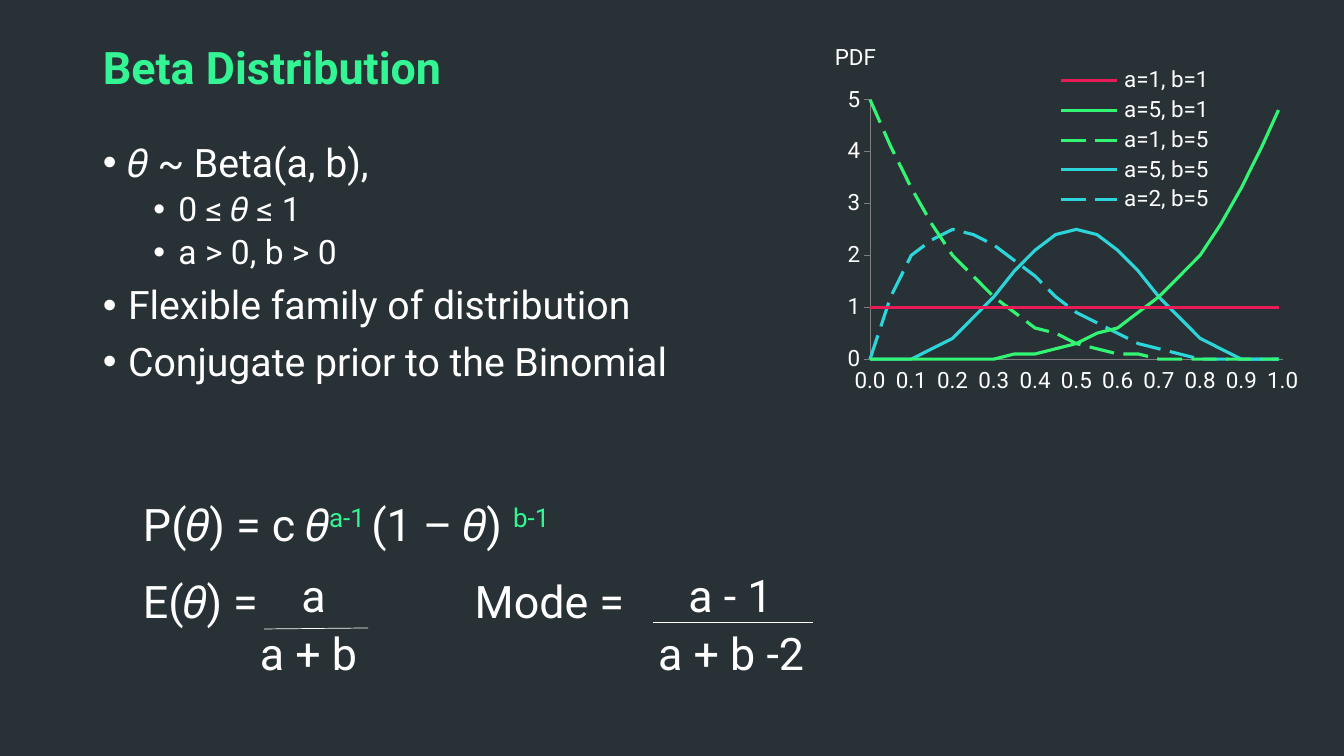
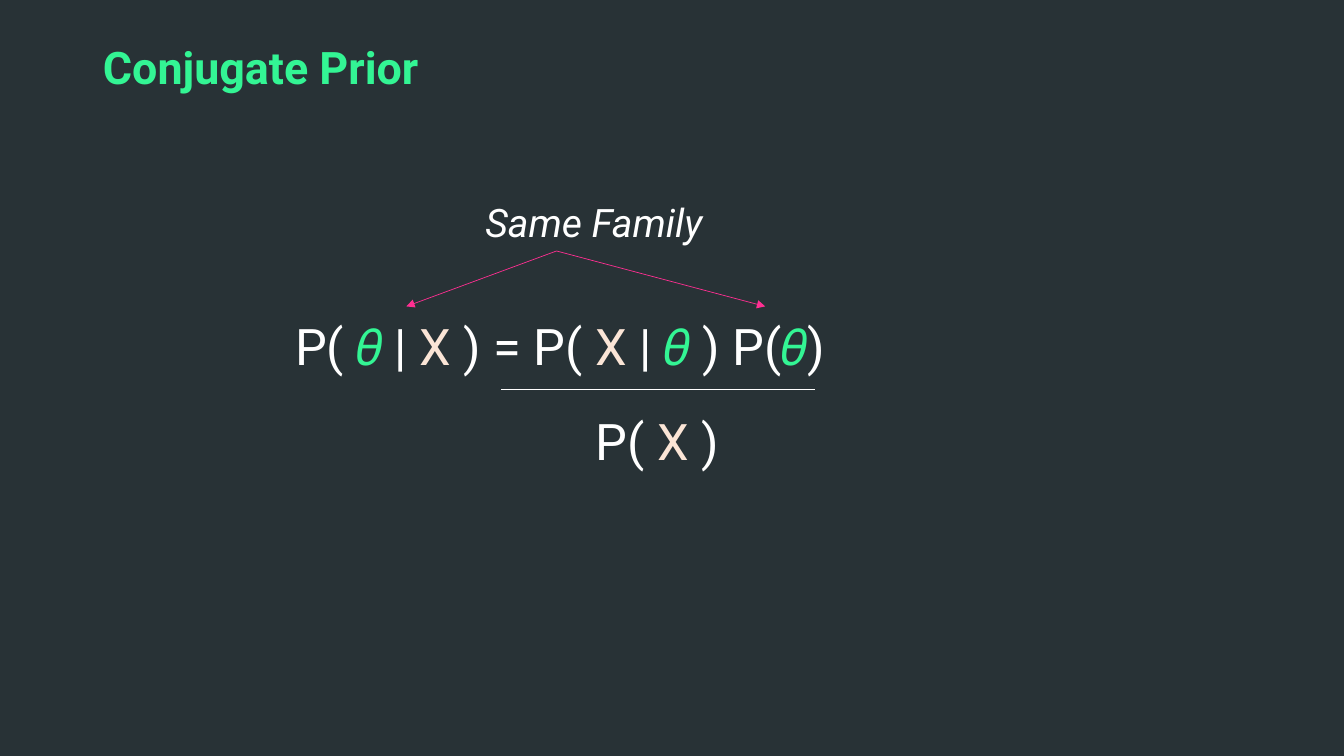
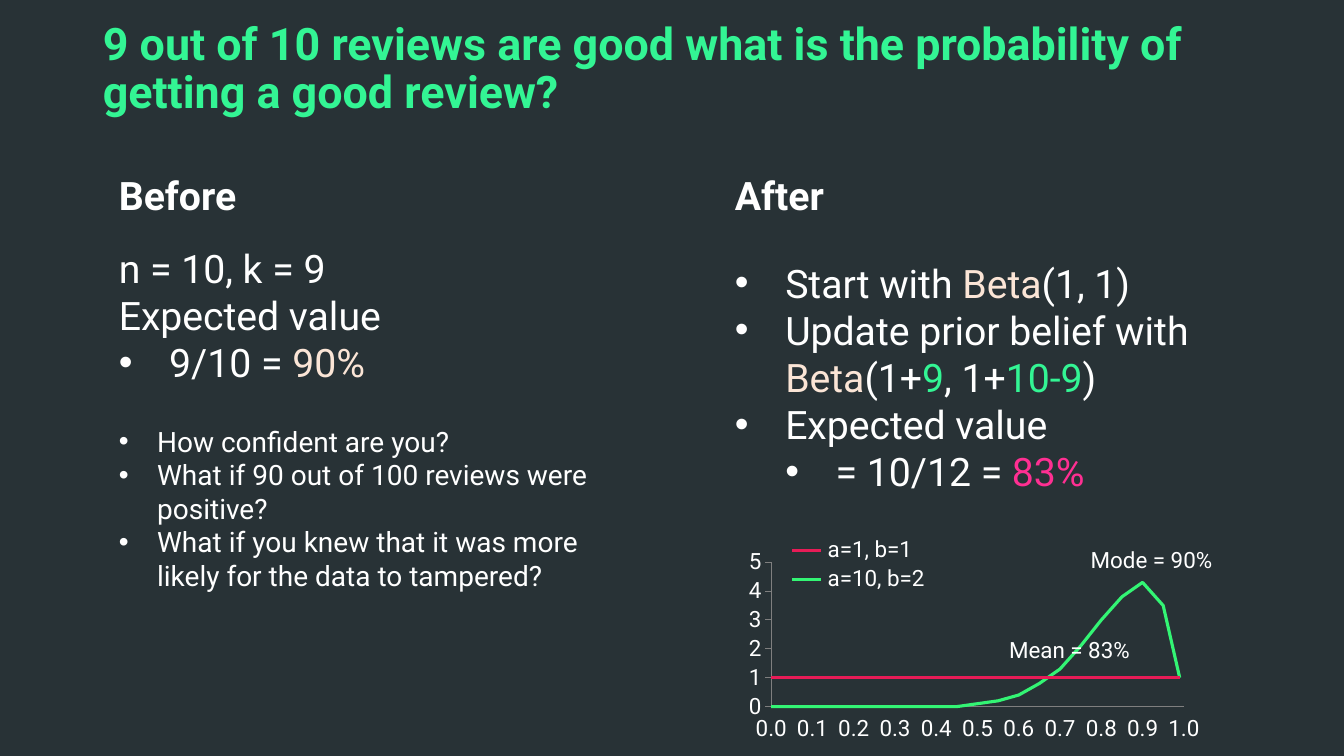
from dataclasses import dataclass

from lxml import etree
from pptx import Presentation
from pptx.chart.data import XyChartData
from pptx.dml.color import RGBColor
from pptx.enum.chart import XL_CHART_TYPE, XL_TICK_LABEL_POSITION, XL_TICK_MARK
from pptx.enum.dml import MSO_LINE
from pptx.enum.shapes import MSO_CONNECTOR
from pptx.enum.text import MSO_ANCHOR, MSO_AUTO_SIZE, PP_ALIGN
from pptx.oxml.ns import qn
from pptx.util import Inches, Pt

SCATTER = XL_CHART_TYPE.XY_SCATTER_LINES_NO_MARKERS
NO_LABELS = XL_TICK_LABEL_POSITION.NONE
NO_TICKS, TICKS_OUT = XL_TICK_MARK.NONE, XL_TICK_MARK.OUTSIDE
LONG_DASH = MSO_LINE.LONG_DASH
STRAIGHT = MSO_CONNECTOR.STRAIGHT
TOP, MIDDLE, BOTTOM = MSO_ANCHOR.TOP, MSO_ANCHOR.MIDDLE, MSO_ANCHOR.BOTTOM
LEFT, CENTER = PP_ALIGN.LEFT, PP_ALIGN.CENTER
TITLE_AND_BODY, TITLE_ONLY = 1, 5


@dataclass(frozen=True)
class Theme:
    font: str = "Roboto"
    symbol_font: str = "Calibri"
    background: str = "283236"
    white: str = "FFFFFF"
    green: str = "33F594"
    cream: str = "FBE5D6"
    pink: str = "FF2F92"
    axis: str = "7F7F7F"
    red_curve: str = "E71C57"
    green_curve: str = "33F574"
    blue_curve: str = "2BD5D9"
    huge: int = 36
    large: int = 32
    body: int = 28
    sub: int = 24
    small: int = 20
    label: int = 16
    curve: float = 2.25
    axis_line: float = 0.75
    hairline: float = 0.5


THEME = Theme()


# Content. A run is a string or (text, style); a paragraph is a list of runs.
def green(text):
    return text, {"color": THEME.green}


def cream(text):
    return text, {"color": THEME.cream}


def power(text):
    return text, {"color": THEME.green, "baseline": 30000}


THETA = ("𝜃", {"font": THEME.symbol_font})

BETA_TITLE = "Beta Distribution"
BETA_POINTS = [  # level, text
    (0, "𝜃 ~ Beta(a, b),"),
    (1, "0 ≤ 𝜃 ≤ 1"),
    (1, "a > 0, b > 0"),
    (0, "Flexible family of distribution"),
    (0, "Conjugate prior to the Binomial"),
]
BETA_FORMULAS = [  # left, top, width, height, runs
    (1.32, 4.69, 7.3, 1, ["P(", THETA, ") = c ", THETA, power("a-1 "), "(1 – ",
                          THETA, ") ", power("b-1")]),
    (1.32, 5.46, 2.26, 1, ["E(", THETA, ") ="]),
    (2.48, 6.17, 1.31, 0.61, ["a + b"]),
    (2.89, 5.59, 1.31, 0.61, ["a"]),
    (4.61, 5.46, 2.26, 1, ["Mode ="]),
    (6.43, 6.17, 1.85, 0.61, ["a + b -2"]),
    (6.73, 5.59, 1.31, 0.61, ["a - 1"]),
]
BETA_FRACTION_BARS = [((2.62, 6.24), (3.65, 6.23)), ((6.48, 6.17), (8.06, 6.17))]
BETA_CURVES = [  # a, b, colour, dash
    (1, 1, THEME.red_curve, None),
    (5, 1, THEME.green_curve, None),
    (1, 5, THEME.green_curve, LONG_DASH),
    (5, 5, THEME.blue_curve, None),
    (2, 5, THEME.blue_curve, LONG_DASH),
]

PRIOR_TITLE = "Conjugate Prior"
BAYES_RULE = ["P( ", green("𝜃"), " | ", cream("X "), ") = P( ", cream("X"), " | ",
              green("𝜃 "), ") P(", green("𝜃"), ")"]
EVIDENCE = ["P( ", cream("X"), " )"]
FAMILY_NOTE = [("Same Family", {"italic": True})]
FAMILY_ORIGIN = (5.52, 2.49)
FAMILY_TARGETS = [(4.03, 3.04), (7.59, 3.04)]

REVIEW_TITLE = ("9 out of 10 reviews are good what is the probability of "
                "getting a good review?")
REVIEW_HEADINGS = [(1.08, "Before"), (7.19, "After")]
BEFORE_ESTIMATE = [["n = 10, k = 9"], ["Expected value"]]
BEFORE_RESULT = ["9/10 = ", cream("90%")]
BEFORE_QUESTIONS = [
    ["How confident are you?"],
    ["What if 90 out of 100 reviews were positive?"],
    ["What if you knew that it was more likely for the data to tampered?"],
]
AFTER_STEPS = [
    ["Start with ", cream("Beta"), "(1, 1)"],
    ["Update prior belief with ", cream("Beta"), "(1+", green("9"), ", 1+",
     green("10-9"), ")"],
    ["Expected value"],
]
AFTER_RESULT = ["= 10/12 = ", ("83%", {"color": THEME.pink})]
REVIEW_CURVES = [
    (1, 1, THEME.red_curve, None),
    (10, 2, THEME.green_curve, None),
]
REVIEW_NOTES = [(10.72, 5.25, "Mode = 90%"), (9.91, 6.14, "Mean = 83%")]

CURVE_X = [round(step * 0.05, 2) for step in range(20)] + [0.99]
PLOT_X, PLOT_W = 0.097, 0.884
LABEL_W, LABEL_H = 0.31, 0.24


def rgb(value):
    return RGBColor.from_string(value)


def inches(*lengths):
    return [Inches(length) for length in lengths]


def style_font(font, size, color=THEME.white, family=THEME.font):
    font.size, font.name = Pt(size), family
    font.color.rgb = rgb(color)


def add_runs(paragraph, runs, size, bold=None):
    for item in runs:
        text, style = item if isinstance(item, tuple) else (item, {})
        run = paragraph.add_run()
        run.text = text
        style_font(run.font, size, style.get("color", THEME.white),
                   style.get("font", THEME.font))
        run.font.bold, run.font.italic = bold, style.get("italic")
        if "baseline" in style:
            run.font._element.set("baseline", str(style["baseline"]))


def add_bullet(paragraph, margin, hanging):
    properties = paragraph._p.get_or_add_pPr()
    properties.set("marL", str(Inches(margin)))
    properties.set("indent", str(-Inches(hanging)))
    etree.SubElement(properties, qn("a:buFont")).set("typeface", "Arial")
    etree.SubElement(properties, qn("a:buChar")).set("char", "•")


def add_text(slide, box, paragraphs, size, anchor=MIDDLE, align=LEFT, bold=None,
             bullets=()):
    """Add a wrapping text box; bullets maps a paragraph index to (margin, hanging)."""
    frame = slide.shapes.add_textbox(*inches(*box)).text_frame
    frame.word_wrap, frame.vertical_anchor = True, anchor
    for index, runs in enumerate(paragraphs):
        paragraph = frame.add_paragraph() if index else frame.paragraphs[0]
        paragraph.alignment = align
        add_runs(paragraph, runs, size, bold)
        if index in bullets:
            margin, hanging = bullets[index]
            paragraph.level = 1 if margin > hanging else 0
            add_bullet(paragraph, margin, hanging)
    return frame


def add_label(slide, box, text, anchor=MIDDLE, align=LEFT):
    frame = add_text(slide, box, [[text]], THEME.label, anchor, align)
    frame.word_wrap = False
    frame.margin_left = frame.margin_right = frame.margin_top = frame.margin_bottom = 0
    frame.paragraphs[0].line_spacing = 0.9


def add_line(slide, start, end, color=THEME.white, width=THEME.hairline, dash=None,
             arrow=False):
    connector = slide.shapes.add_connector(STRAIGHT, *inches(*start, *end))
    connector.line.color.rgb, connector.line.width = rgb(color), Pt(width)
    if dash:
        connector.line.dash_style = dash
    if arrow:
        outline = connector.line._get_or_add_ln()
        etree.SubElement(outline, qn("a:tailEnd")).set("type", "triangle")
    etree.SubElement(connector._element.spPr, qn("a:effectLst"))


def add_slide(prs, layout, title_text):
    slide = prs.slides.add_slide(prs.slide_layouts[layout])
    title = slide.shapes.title
    title.left, title.top, title.width, title.height = inches(0.92, 0.4, 11.5, 0.59)
    frame = title.text_frame
    frame.auto_size, frame.vertical_anchor = MSO_AUTO_SIZE.NONE, MIDDLE
    frame.text = title_text
    paragraph = frame.paragraphs[0]
    paragraph.alignment, paragraph.line_spacing = LEFT, 0.9
    style_font(paragraph.runs[0].font, THEME.large, THEME.green)
    paragraph.runs[0].font.bold = True
    return slide


def fill_body(body, points):
    body.left, body.top, body.width, body.height = inches(0.92, 1.37, 11.5, 4.76)
    frame = body.text_frame
    frame.auto_size = MSO_AUTO_SIZE.NONE
    frame.text = "\n".join(text for _, text in points)
    for paragraph, (level, _) in zip(frame.paragraphs, points):
        paragraph.level, paragraph.line_spacing = level, 0.9
        paragraph.space_before = Pt(5 if level else 10)
        add_bullet(paragraph, 0.25 + 0.5 * level, 0.25)
        style_font(paragraph.runs[0].font, THEME.sub if level else THEME.body)


def factorial(n):
    return n * factorial(n - 1) if n > 1 else 1


def beta_density(x, a, b):
    scale = factorial(a + b - 1) / (factorial(a - 1) * factorial(b - 1))
    return round(scale * x ** (a - 1) * (1 - x) ** (b - 1), 1)


def curve_name(a, b):
    return f"a={a}, b={b}"


def style_axis(axis, maximum, unit, tick):
    axis.minimum_scale, axis.maximum_scale, axis.major_unit = 0, maximum, unit
    axis.has_major_gridlines = False
    axis.major_tick_mark, axis.minor_tick_mark = tick, NO_TICKS
    axis.format.line.color.rgb = rgb(THEME.axis)
    axis.format.line.width = Pt(THEME.axis_line)


def set_plot_area(chart, **fractions):
    plot_area = chart._chartSpace.chart.plotArea
    for old in plot_area.findall(qn("c:layout")):
        plot_area.remove(old)
    layout = etree.Element(qn("c:layout"))
    manual = etree.SubElement(layout, qn("c:manualLayout"))
    settings = {"layoutTarget": "inner", "xMode": "edge", "yMode": "edge", **fractions}
    for tag, value in settings.items():
        etree.SubElement(manual, qn(f"c:{tag}")).set("val", str(value))
    plot_area.insert(0, layout)


def add_density_chart(slide, box, curves, plot_y, plot_h):
    """Add the curves with the x labels set apart below the plot area."""
    left, top, width, height = box
    data = XyChartData()
    for a, b, _, _ in curves:
        points = data.add_series(curve_name(a, b))
        for x in CURVE_X:
            points.add_data_point(x, beta_density(x, a, b))
    chart = slide.shapes.add_chart(SCATTER, *inches(*box), data).chart
    chart.has_legend = chart.has_title = False
    style_font(chart.font, THEME.label)
    set_plot_area(chart, x=PLOT_X, y=plot_y, w=PLOT_W, h=plot_h)
    style_axis(chart.category_axis, 1, 0.1, NO_TICKS)
    chart.category_axis.tick_label_position = NO_LABELS
    style_axis(chart.value_axis, 5, 1, TICKS_OUT)
    number_labels = chart.value_axis.tick_labels
    number_labels.number_format = '#,##0;"-"#,##0'
    number_labels.number_format_is_linked = False
    chart.plots[0].vary_by_categories = False
    for series, (_, _, color, dash) in zip(chart.plots[0].series, curves):
        series.smooth = False
        line = series.format.line
        line.color.rgb, line.width = rgb(color), Pt(THEME.curve)
        if dash:
            line.dash_style = dash

    label_top = top + (plot_y + plot_h) * height + 0.1
    for tenth in range(11):
        center = left + (PLOT_X + PLOT_W * tenth / 10) * width
        add_label(slide, (center - LABEL_W / 2, label_top, LABEL_W, LABEL_H),
                  f"{tenth / 10:.1f}", TOP, CENTER)


def add_legend(slide, left, top, key_width, pitch, curves):
    for row, (a, b, color, dash) in enumerate(curves):
        y = top + row * pitch
        add_line(slide, (left, y), (left + key_width, y), color, THEME.curve, dash)
        add_label(slide, (left + key_width + 0.07, y - LABEL_H / 2, 1.04, LABEL_H),
                  curve_name(a, b))


def build_beta(prs):
    slide = add_slide(prs, TITLE_AND_BODY, BETA_TITLE)
    fill_body(slide.placeholders[1], BETA_POINTS)
    add_density_chart(slide, (8.18, 0.83, 4.63, 2.89), BETA_CURVES, 0.055, 0.891)
    add_label(slide, (8.28, 0.46, 0.41, LABEL_H), "PDF", BOTTOM)
    add_legend(slide, 10.52, 0.8, 0.56, 0.295, BETA_CURVES)
    for *box, runs in BETA_FORMULAS:
        add_text(slide, box, [runs], THEME.large)
    for start, end in BETA_FRACTION_BARS:
        add_line(slide, start, end)


def build_prior(prs):
    slide = add_slide(prs, TITLE_ONLY, PRIOR_TITLE)
    add_text(slide, (2.83, 2.93, 7.3, 1), [BAYES_RULE], THEME.huge)
    add_text(slide, (5.81, 3.87, 1.43, 1), [EVIDENCE], THEME.huge)
    add_line(slide, (4.97, 3.86), (8.08, 3.86))
    add_text(slide, (2.24, 1.91, 7.3, 0.59), [FAMILY_NOTE], THEME.body, align=CENTER)
    for target in FAMILY_TARGETS:
        add_line(slide, FAMILY_ORIGIN, target, THEME.pink, arrow=True)


def build_review(prs):
    slide = add_slide(prs, TITLE_ONLY, REVIEW_TITLE)
    (before_left, _), (after_left, _) = REVIEW_HEADINGS
    column = 5.23
    for left, heading in REVIEW_HEADINGS:
        add_text(slide, (left, 1.43, column, 1), [[heading]], THEME.body, bold=True)
    add_text(slide, (before_left, 2.32, column, 1.6), BEFORE_ESTIMATE + [BEFORE_RESULT],
             THEME.body, bullets={len(BEFORE_ESTIMATE): (0.5, 0.5)})
    add_text(slide, (before_left, 3.95, column, 2.18), BEFORE_QUESTIONS, THEME.small,
             bullets={row: (0.38, 0.38) for row in range(len(BEFORE_QUESTIONS))})
    step_bullets = {row: (0.5, 0.5) for row in range(len(AFTER_STEPS))}
    step_bullets[len(AFTER_STEPS)] = (1, 0.5)
    add_text(slide, (after_left, 1.78, column, 3.91), AFTER_STEPS + [AFTER_RESULT],
             THEME.body, bullets=step_bullets)
    add_density_chart(slide, (7.2, 5.42, 4.63, 1.75), REVIEW_CURVES, 0.09, 0.819)
    add_legend(slide, 7.86, 5.46, 0.28, 0.29, REVIEW_CURVES)
    for left, top, note in REVIEW_NOTES:
        add_text(slide, (left, top, 1.53, 0.6), [[note]], THEME.label)


def main():
    prs = Presentation()
    prs.slide_width, prs.slide_height = inches(13.33, 7.5)
    backdrop = prs.slide_master.background.fill
    backdrop.solid()
    backdrop.fore_color.rgb = rgb(THEME.background)
    build_beta(prs)
    build_prior(prs)
    build_review(prs)
    prs.save("out.pptx")


if __name__ == "__main__":
    main()
